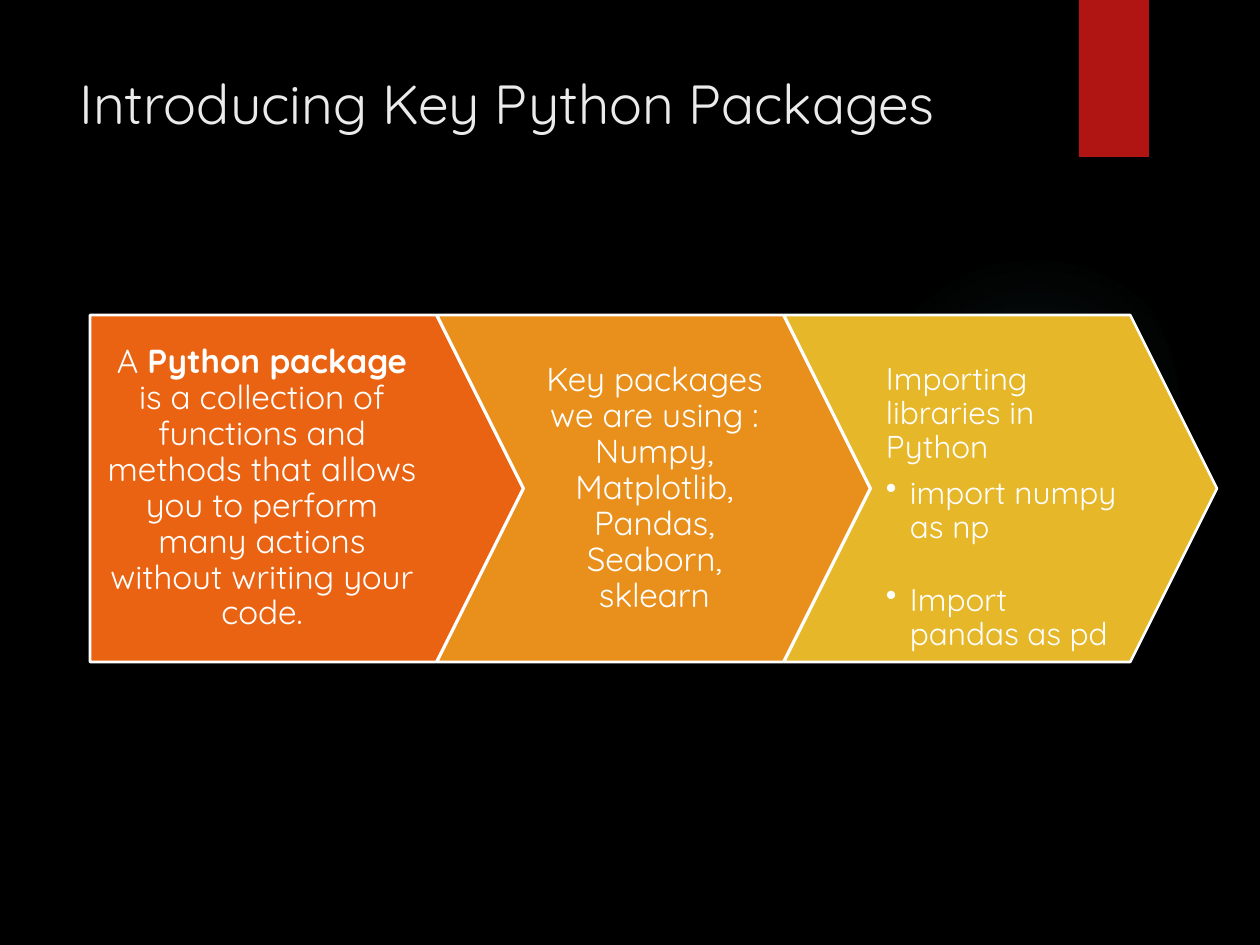
"""Build the slide that introduces key Python packages in three arrow steps."""
from lxml import etree
from pptx import Presentation, util as u
from pptx.dml.color import RGBColor
from pptx.enum import shapes, text
from pptx.oxml import parse_xml
from pptx.oxml.ns import qn


def px(count):
    return u.Emu(round(count * 914400 / 126))


def color(code):
    return RGBColor.from_string(code)


deck = Presentation()
deck.slide_width, deck.slide_height = px(1260), px(945)
slide = deck.slides.add_slide(deck.slide_layouts[6])
slide.background.fill.solid()
slide.background.fill.fore_color.rgb = color("000000")

glow = slide.shapes.add_shape(shapes.MSO_SHAPE.OVAL, px(889), px(231), px(291), px(388))
glow.shadow.inherit = False
glow.line.fill.background()
stops = "".join(
    f'<a:gs pos="{place * 1000}"><a:srgbClr val="50B9C1"><a:alpha val="{alpha * 1000}"/></a:srgbClr></a:gs>'
    for place, alpha in [(0, 7), (36, 6), (69, 0)])
glow_fill = parse_xml(
    '<a:gradFill xmlns:a="http://schemas.openxmlformats.org/drawingml/2006/main">'
    f'<a:gsLst>{stops}</a:gsLst><a:path path="circle">'
    '<a:fillToRect l="50000" t="50000" r="50000" b="50000"/></a:path></a:gradFill>')
glow._element.spPr.find(qn("a:prstGeom")).addnext(glow_fill)

ribbon = slide.shapes.add_shape(shapes.MSO_SHAPE.RECTANGLE, px(1079), 0, px(70), px(157))
ribbon.shadow.inherit = False
ribbon.fill.solid()
ribbon.fill.fore_color.rgb = color("B01513")
ribbon.line.fill.background()

title = slide.shapes.add_textbox(px(67), px(63), px(971), px(193)).text_frame
title.word_wrap = True
title.text = "Introducing Key Python Packages"
title_font = title.paragraphs[0].font
title_font.name, title_font.size = "Quicksand", u.Pt(31.5)
title_font.color.rgb = color("EBEBEB")

definition = [("A ", False), ("Python package", True),
              (" is a collection of functions and methods that allows you to perform "
               "many actions without writing your code.", False)]
packages = [("Key packages we are using : Numpy, Matplotlib, Pandas, Seaborn, sklearn", False)]
imports = [("Importing libraries in Python", 0, False), ("import numpy as np", 7, True),
           ("Import pandas as pd", 22, True)]

pentagon, chevron = shapes.MSO_SHAPE.PENTAGON, shapes.MSO_SHAPE.CHEVRON
steps = [(pentagon, "EA6312", 90, 391, (15, 6, 62, 6)),
         (chevron, "E9901C", 524, 261, (15, 6, 15, 6)),
         (chevron, "E6B729", 871, 261, (15, 48, 15, 5))]
frames = []
for index, (outline, fill, left, width, margins) in enumerate(steps):
    arrow = slide.shapes.add_shape(outline, px(90 + 347 * index), px(315), px(433), px(347))
    arrow.adjustments[0] = 0.25
    arrow.shadow.inherit = False
    arrow.fill.solid()
    arrow.fill.fore_color.rgb = color(fill)
    arrow.line.color.rgb = color("FFFFFF")
    arrow.line.width = u.Pt(1.5)
    frame = slide.shapes.add_textbox(px(left), px(315), px(width), px(347)).text_frame
    frame.word_wrap = True
    frame.margin_left, frame.margin_top, frame.margin_right, frame.margin_bottom = map(px, margins)
    frames.append(frame)

for frame, passages in zip(frames, [definition, packages]):
    frame.vertical_anchor = text.MSO_ANCHOR.MIDDLE
    frame.paragraphs[0].alignment = text.PP_ALIGN.CENTER
    for words, bold in passages:
        run = frame.paragraphs[0].add_run()
        run.text = words
        if bold:
            run.font.bold = True

frames[2].text = "\n".join(words for words, gap, bulleted in imports)
for paragraph, (words, gap, bulleted) in zip(frames[2].paragraphs, imports):
    if bulleted:
        paragraph.space_before = u.Pt(gap)
        properties = paragraph._p.get_or_add_pPr()
        properties.set("marL", str(px(24)))
        properties.set("indent", str(px(-24)))
        etree.SubElement(properties, qn("a:buChar")).set("char", "•")

for frame, size in zip(frames, [19, 19, 18]):
    for paragraph in frame.paragraphs:
        paragraph.line_spacing = 0.9
        paragraph.font.name, paragraph.font.size = "Quicksand", u.Pt(size)
        paragraph.font.color.rgb = color("FFFFFF")

deck.save("out.pptx")
